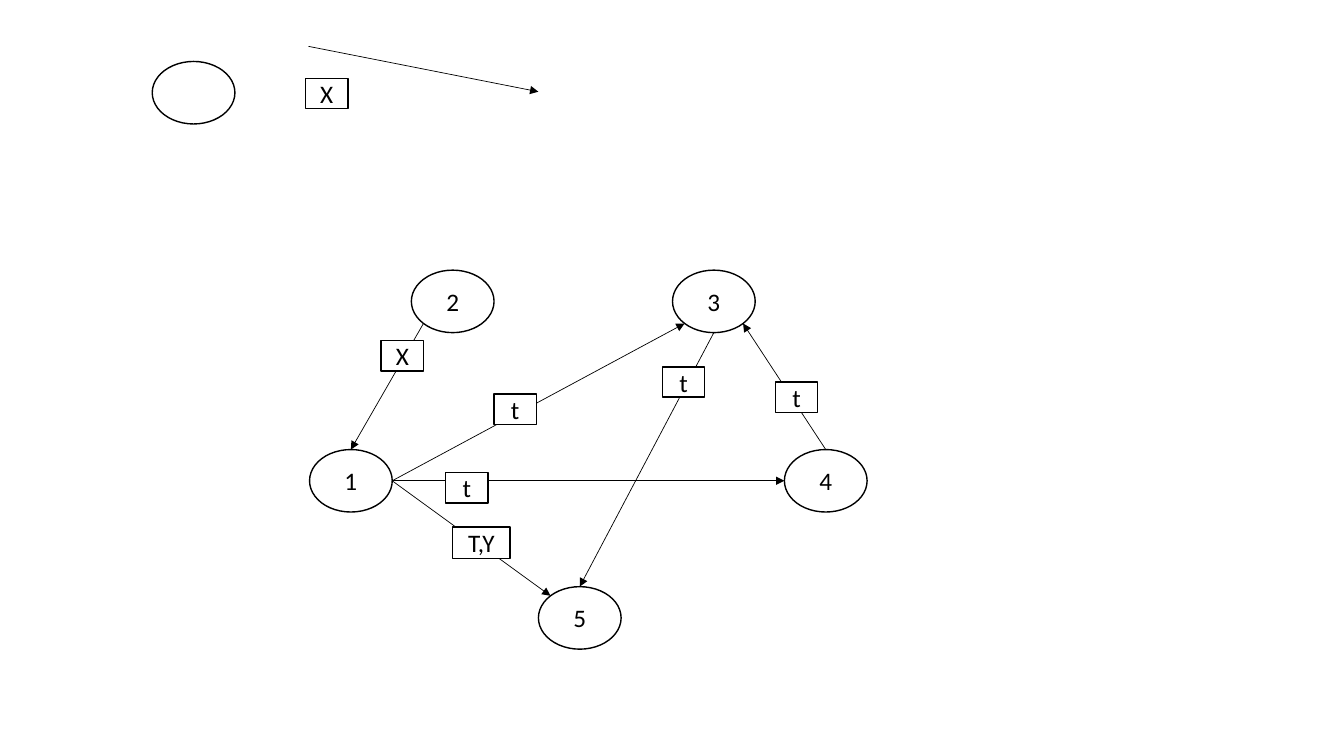
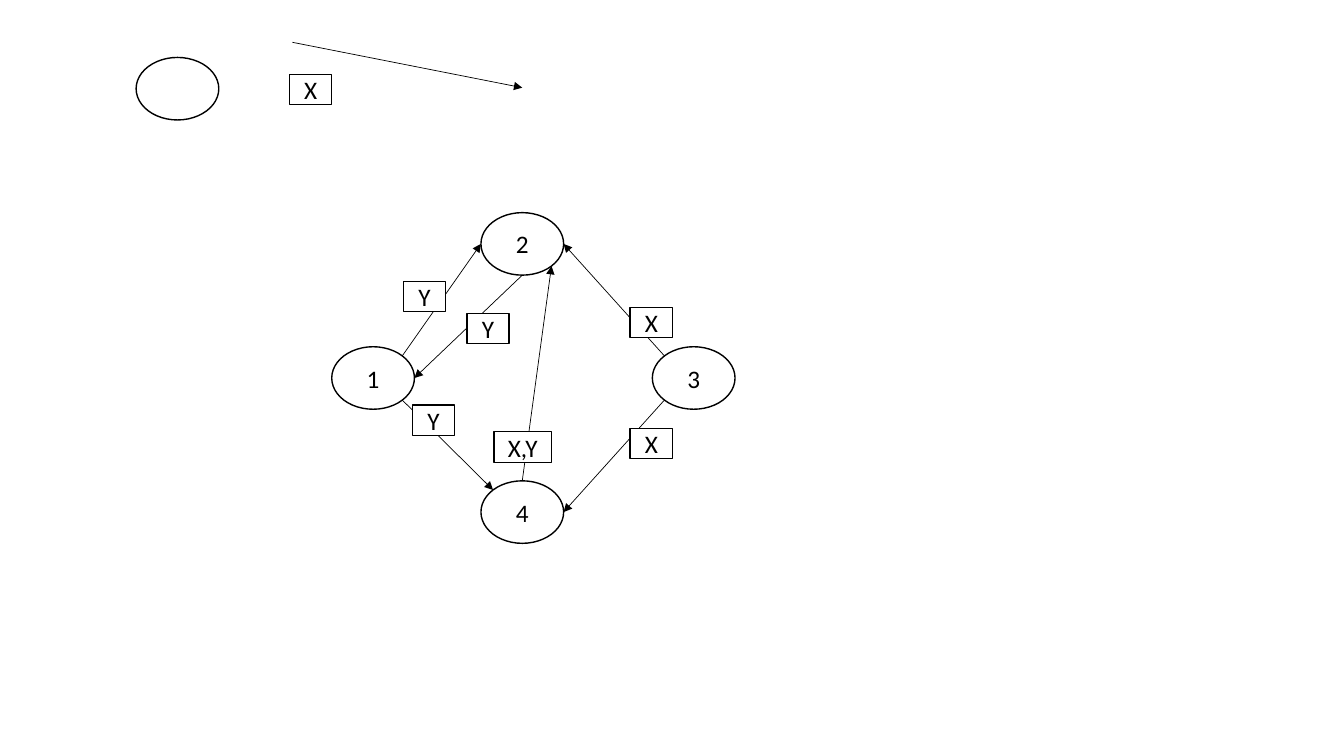
from math import cos, pi, sin

from lxml.etree import SubElement
from pptx import Presentation
from pptx.dml.color import RGBColor
from pptx.enum.shapes import MSO_CONNECTOR as Connector, MSO_SHAPE as Shape
from pptx.enum.text import MSO_ANCHOR as Anchor, PP_ALIGN as Align
from pptx.oxml.ns import qn
from pptx.util import Inches, Pt

COLORS = {"ink": "000000", "paper": "FFFFFF"}
NODE_WIDTH, NODE_HEIGHT = 0.82, 0.62
LABEL_SIZE, WIDE_LABEL_SIZE = (0.42, 0.3), (0.57, 0.31)
SITES = ["top", "top left", "left", "bottom left",
         "bottom", "bottom right", "right", "top right"]

GRAPHS = [
    {
        "legend": (1.51, 0.61),
        "nodes": {"1": (3.07, 4.46), "2": (4.08, 2.68), "3": (6.67, 2.68),
                  "4": (7.78, 4.46), "5": (5.34, 5.82)},
        "edges": [
            ("1", "right", "4", "left", "t", (4.42, 4.69)),
            ("1", "right", "5", "top left", "T,Y", (4.49, 5.23)),
            ("1", "right", "3", "bottom left", "t", (4.9, 3.91)),
            ("2", "bottom left", "1", "top", "X", (3.78, 3.38)),
            ("3", "bottom", "5", "top", "t", (6.57, 3.64)),
            ("4", "top", "3", "bottom right", "t", (7.69, 3.79)),
        ],
    },
    {
        "legend": (1.35, 0.57),
        "nodes": {"1": (3.29, 3.44), "2": (4.77, 2.11),
                  "3": (6.47, 3.44), "4": (4.77, 4.77)},
        "edges": [
            ("1", "top right", "2", "left", "Y", (4, 2.79)),
            ("1", "bottom right", "4", "top left", "Y", (4.09, 4.02)),
            ("2", "bottom", "1", "right", "Y", (4.63, 3.11)),
            ("3", "bottom left", "4", "right", "X", (6.25, 4.25)),
            ("3", "top left", "2", "right", "X", (6.25, 3.05)),
            ("4", "top", "2", "bottom right", "X,Y", (4.9, 4.28)),
        ],
    },
]


class GraphDeck:
    """Draws labelled directed graphs, one per slide, in a shared style."""

    def __init__(self):
        self.presentation = Presentation()
        self.presentation.slide_width = Inches(13.33)
        self.presentation.slide_height = Inches(7.5)
        self.slide = None

    def color(self, name):
        return RGBColor.from_string(COLORS[name])

    def add_slide(self):
        layout = self.presentation.slide_layouts[6]
        self.slide = self.presentation.slides.add_slide(layout)

    def box(self, kind, position, size, text):
        lengths = [Inches(value) for value in (*position, *size)]
        shape = self.slide.shapes.add_shape(kind, *lengths)
        shape.shadow.inherit = False
        shape.fill.solid()
        shape.fill.fore_color.rgb = self.color("paper")
        shape.line.color.rgb = self.color("ink")
        shape.line.width = Pt(1)
        if text:
            frame = shape.text_frame
            frame.text = text
            frame.vertical_anchor = Anchor.MIDDLE
            paragraph = frame.paragraphs[0]
            paragraph.alignment = Align.CENTER
            paragraph.font.name = "Calibri"
            paragraph.font.size = Pt(18)
            paragraph.font.color.rgb = self.color("ink")
        return shape

    def node(self, position, text=""):
        return self.box(Shape.OVAL, position, (NODE_WIDTH, NODE_HEIGHT), text)

    def label(self, position, text):
        size = WIDE_LABEL_SIZE if len(text) > 1 else LABEL_SIZE
        return self.box(Shape.RECTANGLE, position, size, text)

    def arrow(self, start, end):
        lengths = [Inches(value) for value in (*start, *end)]
        connector = self.slide.shapes.add_connector(Connector.STRAIGHT, *lengths)
        connector.line.color.rgb = self.color("ink")
        connector.line.width = Pt(0.5)
        line = connector.line._get_or_add_ln()
        SubElement(line, qn("a:tailEnd"), type="triangle")
        SubElement(connector._element.spPr, qn("a:effectLst"))
        return connector

    def edge(self, source, source_site, target, target_site):
        ends = [(source, SITES.index(source_site)), (target, SITES.index(target_site))]
        connector = self.arrow(*(self.site_point(*end) for end in ends))
        links = connector._element.find(".//" + qn("p:cNvCxnSpPr"))
        for tag, (node, site) in zip(("a:stCxn", "a:endCxn"), ends):
            SubElement(links, qn(tag), id=str(node.shape_id), idx=str(site))

    def site_point(self, node, site):
        angle = pi / 2 + site * pi / 4
        x = node.left.inches + NODE_WIDTH / 2 * (1 + cos(angle))
        y = node.top.inches + NODE_HEIGHT / 2 * (1 - sin(angle))
        return x, y

    def legend(self, left, top):
        self.arrow((left + 1.55, top - 0.15), (left + 3.83, top + 0.3))
        self.node((left, top))
        self.label((left + 1.52, top + 0.17), "X")

    def graph(self, nodes, edges):
        shapes = {name: self.node(position, name) for name, position in nodes.items()}
        for source, source_site, target, target_site, text, position in edges:
            self.edge(shapes[source], source_site, shapes[target], target_site)
            self.label(position, text)


def main():
    deck = GraphDeck()
    for graph in GRAPHS:
        deck.add_slide()
        deck.legend(*graph["legend"])
        deck.graph(graph["nodes"], graph["edges"])
    deck.presentation.save("out.pptx")


if __name__ == "__main__":
    main()
